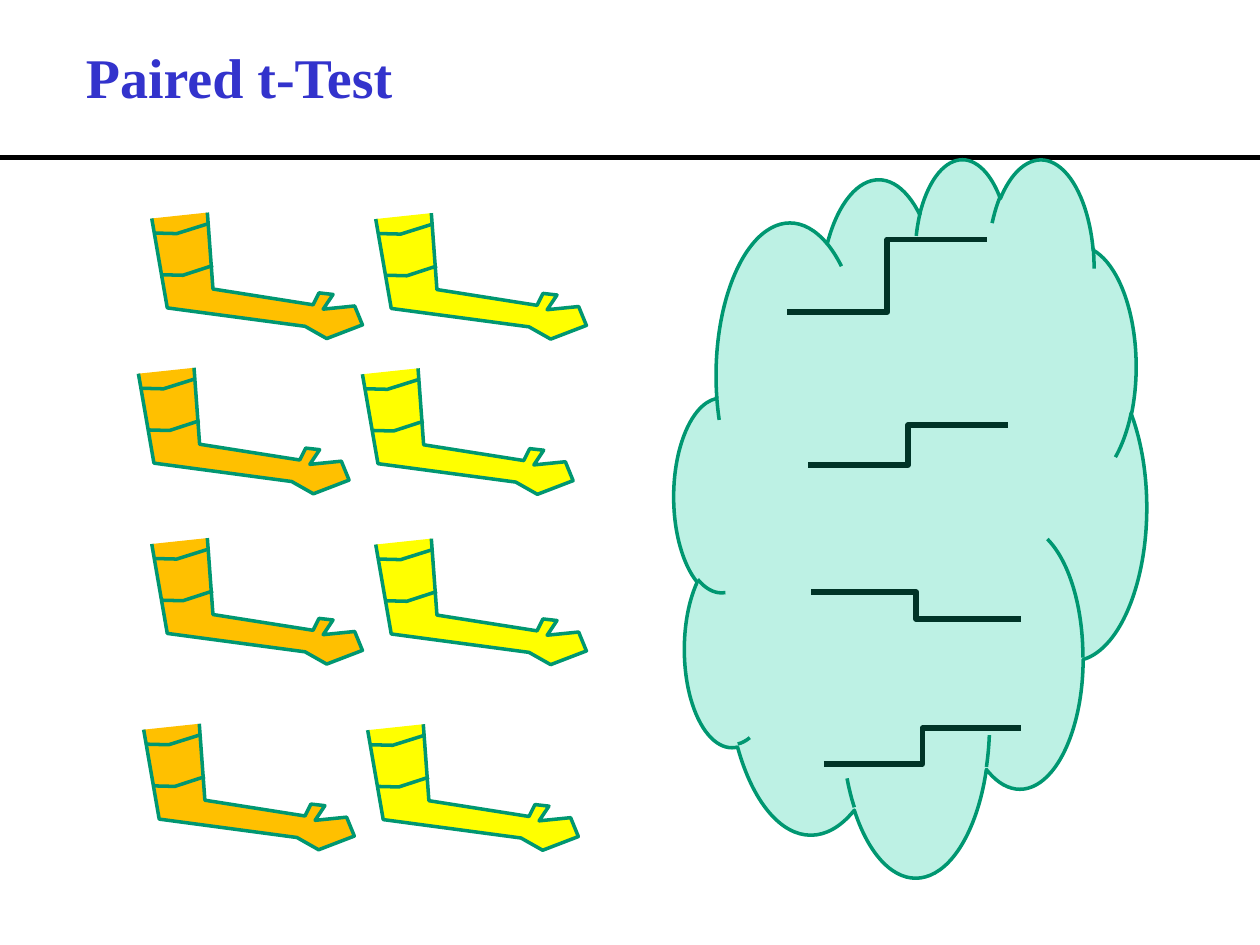
from lxml import etree
from pptx import Presentation
from pptx import util as u
from pptx.dml.color import RGBColor
from pptx.enum import shapes, text
from pptx.oxml.ns import qn

Pt = u.Pt
COLOURS = {"title": "3333CC", "rule": "000000", "outline": "009771",
           "before": "FFC000", "after": "FFFF00", "cloud": "00CC99"}

# Content: all lengths in points
TITLE = "Paired t-Test"
ARM_PARTS = [
    [(0, 3.4), (8.9, 54.5), (87.6, 65), (100, 72), (120.4, 64.2), (116, 53.4),
     (98, 55.2), (103.6, 46.8), (95.6, 45.9), (92.2, 52.7), (35, 43.7), (31.8, 0)],
    [(1.9, 11.7), (14.3, 12), (31.8, 6.5)],
    [(5.1, 35.5), (17.8, 35.8), (35, 30.2)],
]
PAIRS = [(86.7, 121.5), (79.1, 210.2), (86.7, 307.5), (82.1, 413.6)]
PAIR_GAP = 128
STEPS = [(450, 178.4, 564, 136.9), (461.8, 265.6, 576, 243.1),
         (463.5, 338.3, 583.5, 353.7), (470.8, 436.5, 583.4, 416.2)]
CLOUD = (385.2, 90, 270, 410.4)


def colour(name):
    return RGBColor.from_string(COLOURS[name])


def paint(shape, fill):
    shape.fill.solid()
    shape.fill.fore_color.rgb = colour(fill)
    shape.line.color.rgb = colour("outline")
    shape.line.width = Pt(2)
    shape.shadow.inherit = False


def add_line(page, kind, ends, width):
    line = page.shapes.add_connector(kind, *map(Pt, ends))
    line.line.color.rgb = colour("rule")
    line.line.width = Pt(width)
    etree.SubElement(line._element.spPr, qn("a:effectLst"))


def add_arm(page, left, top, fill):
    arm = page.shapes.add_group_shape()
    for part in ARM_PARTS:
        points = [(Pt(left + x), Pt(top + y)) for x, y in part]
        builder = arm.shapes.build_freeform(*points[0])
        builder.add_line_segments(points[1:], close=False)
        paint(builder.convert_to_shape(), fill)


deck = Presentation()
deck.slide_width, deck.slide_height = Pt(720), Pt(540)
page = deck.slides.add_slide(deck.slide_layouts[6])

# Title and rule
add_line(page, shapes.MSO_CONNECTOR.STRAIGHT, (0, 90, 720, 90), 3)
box = page.shapes.add_textbox(Pt(42), Pt(21), Pt(720), Pt(45.6))
box.text_frame.word_wrap = True
box.text_frame.auto_size = text.MSO_AUTO_SIZE.SHAPE_TO_FIT_TEXT
para = box.text_frame.paragraphs[0]
span = para.add_run()
span.text = TITLE
span.font.name = "Times New Roman"
span.font.size = Pt(32)
span.font.bold = True
span.font.color.rgb = colour("title")

# Pairs of arms
for left, top in PAIRS:
    add_arm(page, left + PAIR_GAP, top + 0.3, "after")
    add_arm(page, left, top, "before")

# Difference within each pair
for step in STEPS:
    add_line(page, shapes.MSO_CONNECTOR.ELBOW, step, 3.25)

# Translucent cloud over the differences
cloud = page.shapes.add_shape(shapes.MSO_SHAPE.CLOUD, *map(Pt, CLOUD))
paint(cloud, "cloud")
tint = cloud._element.spPr.find(qn("a:solidFill")).find(qn("a:srgbClr"))
etree.SubElement(tint, qn("a:alpha"), val="26000")

deck.save("out.pptx")
